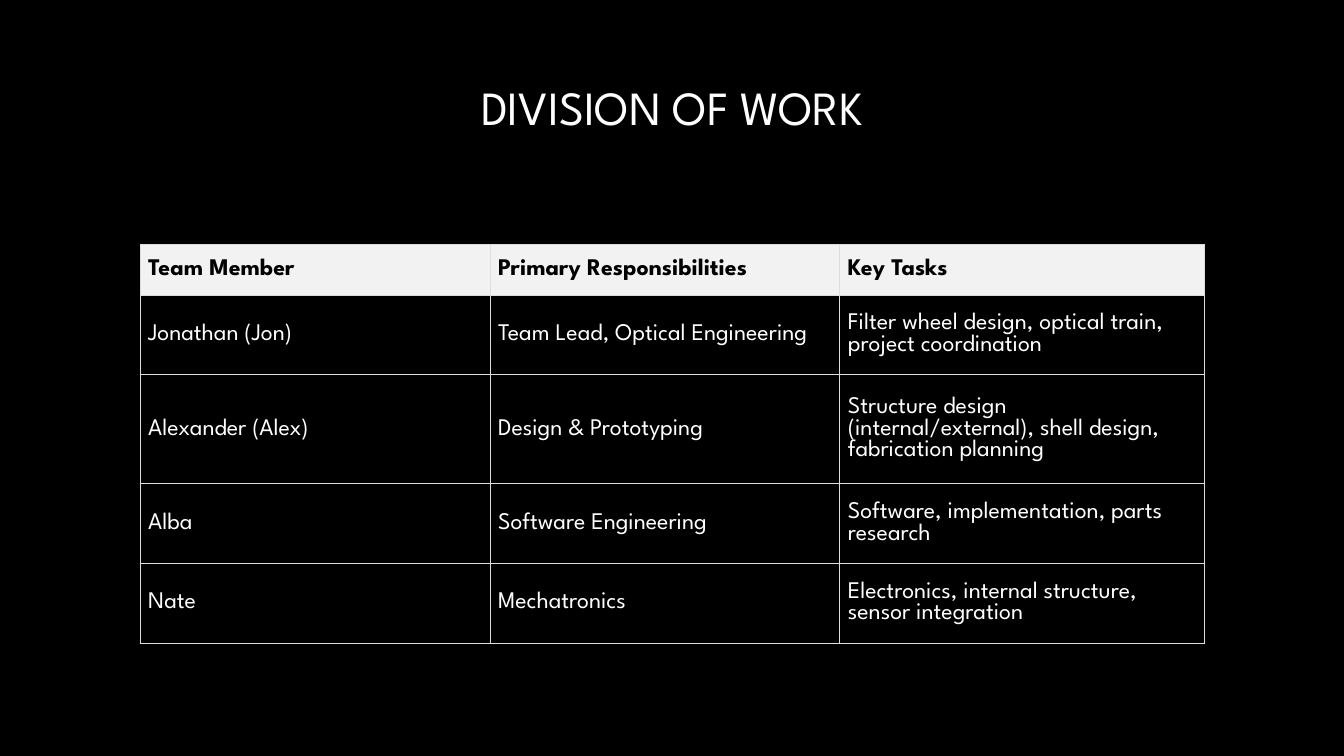
"""Builds the division of work slide with its table of team roles."""
import lxml.etree
import pptx
import pptx.dml.color
import pptx.enum.text
import pptx.oxml
import pptx.oxml.ns
import pptx.util

Inches = pptx.util.Inches
Pt = pptx.util.Pt
FONT = "League Spartan"
COLOURS = {
    "black": "000000",
    "white": "FFFFFF",
    "grey": "A6A6A6",
    "header": "F2F2F2",
    "border": "DDDDDD",
}
COLUMN_WIDTHS = [3.47, 3.47, 3.62]
ROW_HEIGHTS = [0.5, 0.79, 1.08, 0.79, 0.79]
ROLES = [
    ["Team Member", "Primary Responsibilities", "Key Tasks"],
    ["Jonathan (Jon)", "Team Lead, Optical Engineering",
     "Filter wheel design, optical train, project coordination"],
    ["Alexander (Alex)", "Design & Prototyping",
     "Structure design (internal/external), shell design, fabrication planning"],
    ["Alba", "Software Engineering", "Software, implementation, parts research"],
    ["Nate", "Mechatronics", "Electronics, internal structure, sensor integration"],
]


def colour(name):
    return pptx.dml.color.RGBColor.from_string(COLOURS[name])


def add_text_shadow(run):
    shadow = pptx.oxml.parse_xml(
        f'<a:effectLst {pptx.oxml.ns.nsdecls("a")}>'
        '<a:outerShdw blurRad="38100" dist="25400" dir="2700000">'
        f'<a:srgbClr val="{COLOURS["black"]}"><a:alpha val="60000"/></a:srgbClr>'
        "</a:outerShdw></a:effectLst>"
    )
    run.font._element.append(shadow)


def format_title(title, text):
    title.left, title.top = Inches(1.92), Inches(0.8)
    title.width, title.height = Inches(9.49), Inches(1.17)
    frame = title.text_frame
    frame.vertical_anchor = pptx.enum.text.MSO_ANCHOR.BOTTOM
    frame.margin_bottom = Inches(0.62)
    paragraph = frame.paragraphs[0]
    paragraph.alignment = pptx.enum.text.PP_ALIGN.CENTER
    paragraph.line_spacing = 0.9
    run = paragraph.add_run()
    run.text = text
    run.font.size = Pt(34)
    run.font.fill.gradient()
    run.font.fill.gradient_angle = 267
    for stop, name in zip(run.font.fill.gradient_stops, ["white", "grey"]):
        stop.color.rgb = colour(name)
    add_text_shadow(run)
    run.font.name = FONT


def add_borders(cell):
    properties = cell._tc.get_or_add_tcPr()
    for index, side in enumerate(["lnL", "lnR", "lnT", "lnB"]):
        line = pptx.oxml.parse_xml(
            f'<a:{side} {pptx.oxml.ns.nsdecls("a")} w="{Pt(0.75)}"><a:solidFill>'
            f'<a:srgbClr val="{COLOURS["border"]}"/></a:solidFill></a:{side}>'
        )
        properties.insert(index, line)


def format_cell(cell, text, is_header):
    cell.vertical_anchor = pptx.enum.text.MSO_ANCHOR.MIDDLE
    cell.margin_left = cell.margin_right = Inches(0.08)
    cell.margin_top = cell.margin_bottom = Inches(0.08)
    if is_header:
        cell.fill.solid()
        cell.fill.fore_color.rgb = colour("header")
    else:
        cell.fill.background()
    add_borders(cell)
    run = cell.text_frame.paragraphs[0].add_run()
    run.text = text
    run.font.name = FONT
    run.font.size = Pt(17)
    run.font.bold = is_header
    run.font.color.rgb = colour("black" if is_header else "white")


def add_roles_table(slide):
    roles = slide.shapes.add_table(
        len(ROLES), len(COLUMN_WIDTHS), Inches(1.39), Inches(2.43),
        Inches(sum(COLUMN_WIDTHS)), Inches(sum(ROW_HEIGHTS)),
    ).table
    roles.horz_banding = False
    for column, width in zip(roles.columns, COLUMN_WIDTHS):
        column.width = Inches(width)
    for row_index, (row, height) in enumerate(zip(roles.rows, ROW_HEIGHTS)):
        row.height = Inches(height)
        for cell, text in zip(row.cells, ROLES[row_index]):
            format_cell(cell, text, row_index == 0)


def main():
    presentation = pptx.Presentation()
    presentation.slide_width = Inches(13.33)
    presentation.slide_height = Inches(7.5)
    slide = presentation.slides.add_slide(presentation.slide_layouts[5])
    slide.background.fill.solid()
    slide.background.fill.fore_color.rgb = colour("black")
    format_title(slide.shapes.title, "DIVISION OF WORK")
    add_roles_table(slide)
    presentation.save("out.pptx")


if __name__ == "__main__":
    main()
